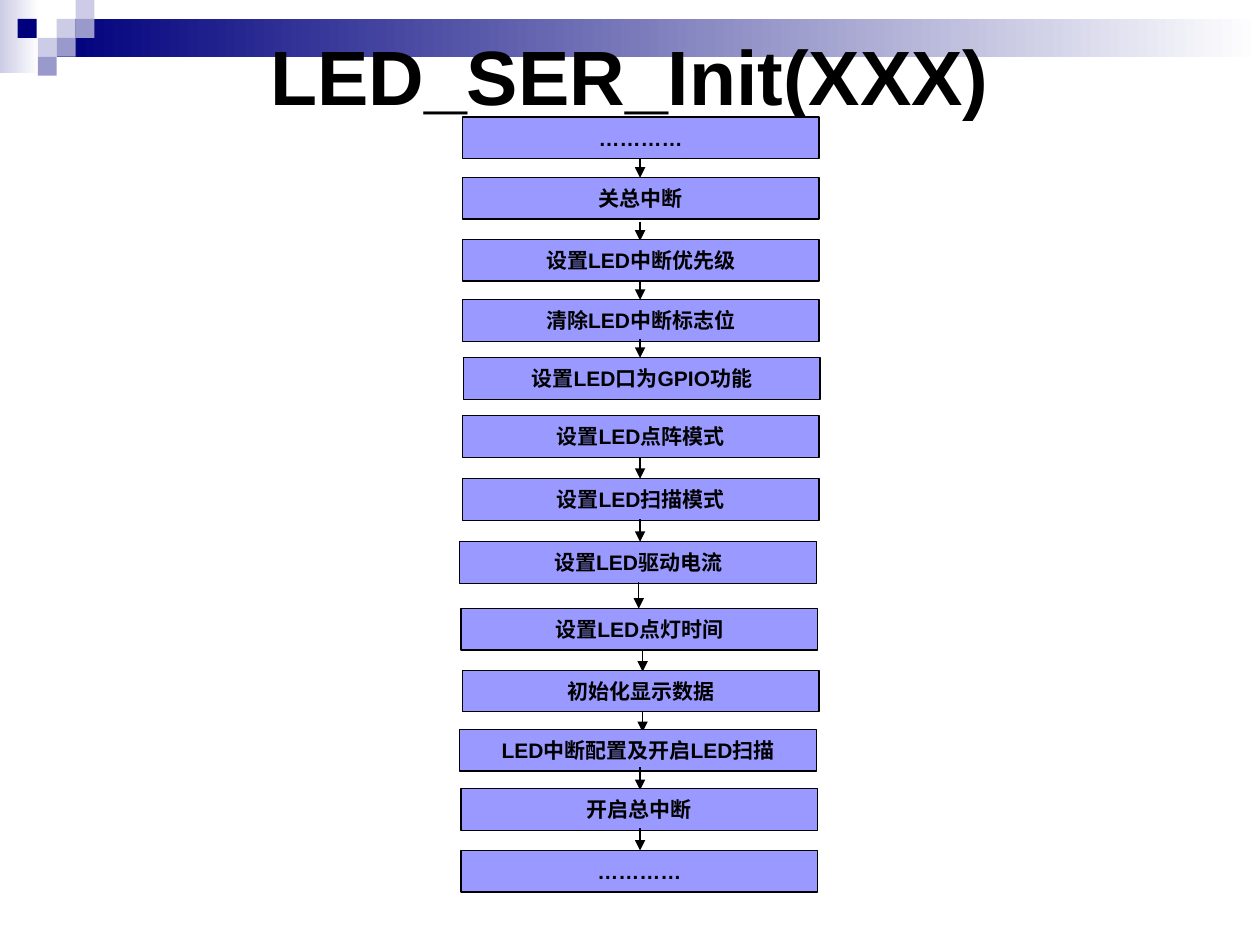
import pptx
import pptx.dml.color
import pptx.enum.shapes
import pptx.enum.text
import pptx.oxml
import pptx.oxml.ns
import pptx.util

Inches = pptx.util.Inches
Pt = pptx.util.Pt

COLORS = {
    "navy": "00007D",
    "mid": "9999CC",
    "pale": "CCCCE6",
    "white": "FFFFFF",
    "box": "9999FF",
    "black": "000000",
}

BOX_W, BOX_H = 2.83, 0.33
SQUARE = 0.15

# left, top, color
SQUARES = [
    (0.45, 0.15, "pale"),
    (0.6, 0, "pale"),
    (0.6, 0.15, "mid"),
    (0.3, 0.3, "pale"),
    (0.14, 0.15, "navy"),
    (0.45, 0.3, "mid"),
    (0.3, 0.45, "mid"),
]

# text, left, top, arrow below as (x, start, end)
STEPS = [
    ("…………", 3.67, 0.93, (5.08, 1.26, 1.41)),
    ("关总中断", 3.67, 1.41, (5.08, 1.76, 1.91)),
    ("设置LED中断优先级", 3.67, 1.9, (5.08, 2.24, 2.38)),
    ("清除LED中断标志位", 3.67, 2.38, (5.08, 2.69, 2.84)),
    ("设置LED口为GPIO功能", 3.68, 2.84, None),
    ("设置LED点阵模式", 3.67, 3.3, (5.08, 3.63, 3.8)),
    ("设置LED扫描模式", 3.67, 3.8, (5.08, 4.12, 4.3)),
    ("设置LED驱动电流", 3.65, 4.3, (5.07, 4.62, 4.83)),
    ("设置LED点灯时间", 3.66, 4.83, (5.1, 5.15, 5.33)),
    ("初始化显示数据", 3.67, 5.32, (5.1, 5.64, 5.81)),
    ("LED中断配置及开启LED扫描", 3.65, 5.79, (5.08, 6.09, 6.27)),
    ("开启总中断", 3.66, 6.26, (5.08, 6.57, 6.75)),
    ("…………", 3.66, 6.75, None),
]


def rgb(name):
    return pptx.dml.color.RGBColor.from_string(COLORS[name])


def write_text(sp, text, size, color="black", bold=True, wrap=False):
    tf = sp.text_frame
    tf.word_wrap = wrap
    tf.auto_size = pptx.enum.text.MSO_AUTO_SIZE.NONE
    tf.vertical_anchor = pptx.enum.text.MSO_ANCHOR.MIDDLE
    p = tf.paragraphs[0]
    p.alignment = pptx.enum.text.PP_ALIGN.CENTER
    r = p.add_run()
    r.text = text
    r.font.name = "Arial"
    r.font.size = Pt(size)
    r.font.bold = bold
    r.font.color.rgb = rgb(color)


def add_rect(s, left, top, width, height, fill, fade_to=None, line=None):
    """Rectangle with a solid fill, or a left-to-right gradient to fade_to."""
    sp = s.shapes.add_shape(pptx.enum.shapes.MSO_SHAPE.RECTANGLE,
                            Inches(left), Inches(top), Inches(width), Inches(height))
    sp.shadow.inherit = False
    if fade_to:
        sp.fill.gradient()
        sp.fill.gradient_angle = 0
        for stop, color in zip(sp.fill.gradient_stops, (fill, fade_to)):
            stop.color.rgb = rgb(color)
    else:
        sp.fill.solid()
        sp.fill.fore_color.rgb = rgb(fill)
    if line:
        sp.line.color.rgb = rgb(line)
        sp.line.width = Pt(0.75)
    else:
        sp.line.fill.background()
    return sp


def add_down_arrow(s, x, start, end):
    cxn = s.shapes.add_connector(pptx.enum.shapes.MSO_CONNECTOR.STRAIGHT,
                                 Inches(x), Inches(start), Inches(x), Inches(end))
    cxn.line.color.rgb = rgb("black")
    cxn.line.width = Pt(0.75)
    ln = cxn.line._get_or_add_ln()
    ln.append(pptx.oxml.parse_xml(
        f'<a:tailEnd {pptx.oxml.ns.nsdecls("a")} type="triangle"/>'))
    ln.addnext(pptx.oxml.parse_xml(f'<a:effectLst {pptx.oxml.ns.nsdecls("a")}/>'))


def add_header(s):
    add_rect(s, 0, 0, 0.31, 0.58, "pale", fade_to="white")
    add_rect(s, 0.45, 0.15, 9.55, 0.3, "navy", fade_to="white")
    for left, top, color in SQUARES:
        add_rect(s, left, top, SQUARE, SQUARE, color)


def add_title(s, text):
    """Fill the title placeholder and bring it in front of the header."""
    sp = s.shapes.title
    sp.left, sp.top = Inches(0.5), Inches(0.43)
    sp.width, sp.height = Inches(9), Inches(0.33)
    write_text(sp, text, 44, wrap=True)
    s.shapes._spTree.append(sp._element)


def add_flow(s):
    for text, left, top, arrow in STEPS:
        sp = add_rect(s, left, top, BOX_W, BOX_H, "box", line="black")
        write_text(sp, text, 12)
        if arrow:
            add_down_arrow(s, *arrow)


def main():
    prs = pptx.Presentation()
    prs.slide_width, prs.slide_height = Inches(10), Inches(7.5)
    s = prs.slides.add_slide(prs.slide_layouts[5])
    add_header(s)
    add_title(s, "LED_SER_Init(XXX)")
    add_flow(s)
    prs.save("out.pptx")


if __name__ == "__main__":
    main()
